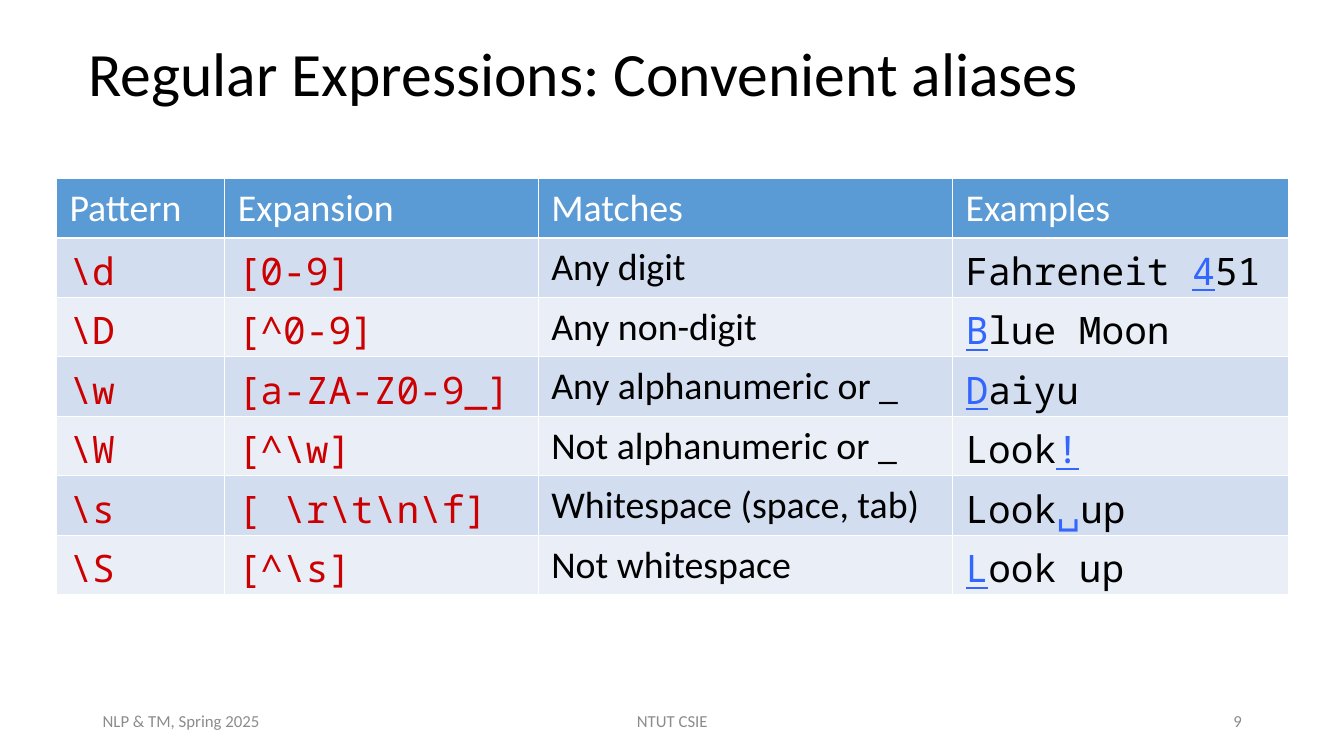
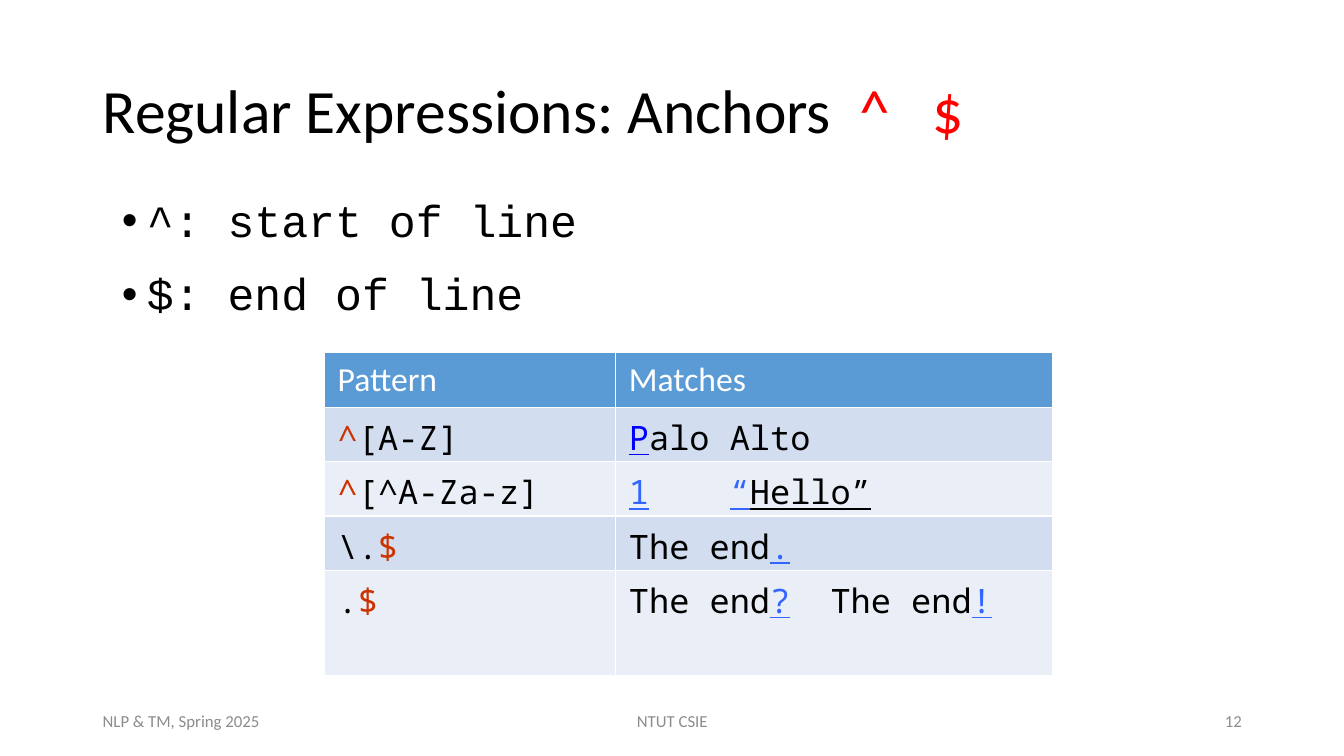
from lxml.etree import SubElement
from pptx import Presentation
from pptx.dml.color import RGBColor
from pptx.enum.text import MSO_ANCHOR, PP_ALIGN
from pptx.oxml.ns import qn
from pptx.util import Emu, Inches, Pt

COLORS = {
    "black": "000000", "white": "FFFFFF", "footer": "8C8C8C",
    "header": "5B9BD5", "odd_row": "D2DEEF", "even_row": "EAEFF7",
    "code": "CC0000", "anchor": "CC3300", "title_anchor": "FF0000",
    "match": "3366FF", "deep_match": "0000FF",
}
SANS, MONO, TYPEWRITER = "Calibri", "Noto Sans Mono", "Courier New"
STYLES = {
    "text": ("black", False),
    "header": ("white", False),
    "code": ("code", False),
    "anchor": ("anchor", False),
    "title_anchor": ("title_anchor", False),
    "footer": ("footer", False),
    "match": ("match", True),
    "deep_match": ("deep_match", True),
    "space_match": ("match", False),
    "underlined": ("black", True),
}
FOOTERS = [
    (0.92, 3, PP_ALIGN.LEFT, "NLP & TM, Spring 2025"),
    (4.42, 4.5, PP_ALIGN.CENTER, "NTUT CSIE"),
    (9.42, 3, PP_ALIGN.RIGHT, None),
]

ALIASES = [
    (r"\d", "[0-9]", "Any digit",
     [("Fahreneit ", "text"), ("4", "match"), ("51", "text")]),
    (r"\D", "[^0-9]", "Any non-digit", [("B", "match"), ("lue Moon", "text")]),
    (r"\w", "[a-ZA-Z0-9_]", "Any alphanumeric or _", [("D", "match"), ("aiyu", "text")]),
    (r"\W", r"[^\w]", "Not alphanumeric or _", [("Look", "text"), ("!", "match")]),
    (r"\s", r"[ \r\t\n\f]", "Whitespace (space, tab)",
     [("Look", "text"), ("␣", "space_match"), ("up", "text")]),
    (r"\S", r"[^\s]", "Not whitespace", [("L", "match"), ("ook up", "text")]),
]
ALIAS_TABLE = {
    "header": ["Pattern", "Expansion", "Matches", "Examples"],
    "rows": [
        [(MONO, [(pattern, "code")]), (MONO, [(expansion, "code")]),
         (SANS, [(meaning, "text")]), (MONO, example)]
        for pattern, expansion, meaning, example in ALIASES
    ],
    "origin": (0.56, 1.77),
    "columns": [1.67, 3.11, 4.11, 3.33],
    "heights": [0.58] * 7,
    "size": 27,
    "tabs": {},
}

ANCHORS = [
    ([("^", "anchor"), ("[A-Z]", "text")], [("P", "deep_match"), ("alo Alto", "text")]),
    ([("^", "anchor"), ("[^A-Za-z]", "text")],
     [("1", "match"), ("\t", "text"), ("“", "match"), ("Hello”", "underlined")]),
    ([(r"\.", "text"), ("$", "anchor")], [("The end", "text"), (".", "match")]),
    ([(".", "text"), ("$", "anchor")],
     [("The end", "text"), ("?", "match"), ("\tThe end", "text"), ("!", "match")]),
]
ANCHOR_TABLE = {
    "header": ["Pattern", "Matches"],
    "rows": [[(MONO, runs) for runs in row] for row in ANCHORS],
    "origin": (3.22, 3.5),
    "columns": [2.89, 4.33],
    "heights": [0.54] * 4 + [1.04],
    "size": 24,
    "tabs": {(2, 1): [1], (4, 1): [2]},
}
ANCHOR_MEANINGS = ["^: start of line", "$: end of line"]


def rgb(name):
    return RGBColor.from_string(COLORS[name])


def write(paragraph, runs, size, font=SANS, tabs=()):
    if tabs:
        tab_list = SubElement(paragraph._p.get_or_add_pPr(), qn("a:tabLst"))
        for position in tabs:
            SubElement(tab_list, qn("a:tab"), pos=str(Inches(position)), algn="l")
    paragraph.font.name = font
    paragraph.font.size = Pt(size)
    for text, style in runs:
        color, underline = STYLES[style]
        run = paragraph.add_run()
        run.text = text
        run.font.bold = False
        run.font.color.rgb = rgb(color)
        if underline:
            run.font.underline = True


def add_text_box(slide, left, top, width, height, anchor=MSO_ANCHOR.MIDDLE):
    box = slide.shapes.add_textbox(*map(Inches, (left, top, width, height)))
    frame = box.text_frame
    frame.word_wrap = True
    frame.vertical_anchor = anchor
    return frame


def add_page(presentation, number, title_place, title_runs, tabs=()):
    slide = presentation.slides.add_slide(presentation.slide_layouts[6])
    title = add_text_box(slide, *title_place).paragraphs[0]
    title.line_spacing = 0.9
    write(title, title_runs, 44, tabs=tabs)
    for left, width, alignment, text in FOOTERS:
        footer = add_text_box(slide, left, 6.95, width, 0.4).paragraphs[0]
        footer.alignment = alignment
        write(footer, [(text or str(number), "footer")], 12)
    return slide


def add_bullets(slide, lines):
    frame = add_text_box(slide, 1.11, 1.92, 11.44, 1.4, MSO_ANCHOR.TOP)
    for index, line in enumerate(lines):
        paragraph = frame.add_paragraph() if index else frame.paragraphs[0]
        paragraph.line_spacing = 0.9
        if index:
            paragraph.space_before = Pt(18)
        properties = paragraph._p.get_or_add_pPr()
        properties.set("marL", str(Inches(0.25)))
        properties.set("indent", str(-Inches(0.25)))
        SubElement(properties, qn("a:buFont"), typeface="Arial")
        SubElement(properties, qn("a:buChar"), char="•")
        write(paragraph, [(line, "text")], 32, TYPEWRITER)


def add_pattern_table(slide, content):
    header = [(SANS, [(label, "header")]) for label in content["header"]]
    rows = [header] + content["rows"]
    columns, heights = content["columns"], content["heights"]
    left, top = content["origin"]
    table = slide.shapes.add_table(
        len(rows), len(columns), Inches(left), Inches(top),
        Inches(sum(columns)), Inches(sum(heights))).table
    for column, width in zip(table.columns, columns):
        column.width = Inches(width)
    for row, height in zip(table.rows, heights):
        row.height = Inches(height)
    for row_index, row in enumerate(rows):
        band = "odd_row" if row_index % 2 else "even_row"
        for column_index, (font, runs) in enumerate(row):
            cell = table.cell(row_index, column_index)
            cell.margin_left = cell.margin_right = Inches(0.13)
            cell.margin_top = cell.margin_bottom = Inches(0.07)
            cell.fill.solid()
            cell.fill.fore_color.rgb = rgb(band if row_index else "header")
            tabs = content["tabs"].get((row_index, column_index), ())
            write(cell.text_frame.paragraphs[0], runs, content["size"], font, tabs)


def main():
    presentation = Presentation()
    presentation.slide_width = Emu(12192000)
    presentation.slide_height = Inches(7.5)

    aliases = add_page(presentation, 9, (0.78, 0.22, 12.55, 1.08),
                       [("Regular Expressions: Convenient aliases", "text")])
    add_pattern_table(aliases, ALIAS_TABLE)

    anchors = add_page(presentation, 12, (0.92, 0.4, 11.5, 1.45),
                       [("Regular Expressions: Anchors", "text"),
                        ("\t^\t$", "title_anchor")], tabs=(7.51, 8.23))
    add_bullets(anchors, ANCHOR_MEANINGS)
    add_pattern_table(anchors, ANCHOR_TABLE)

    presentation.save("out.pptx")


if __name__ == "__main__":
    main()
